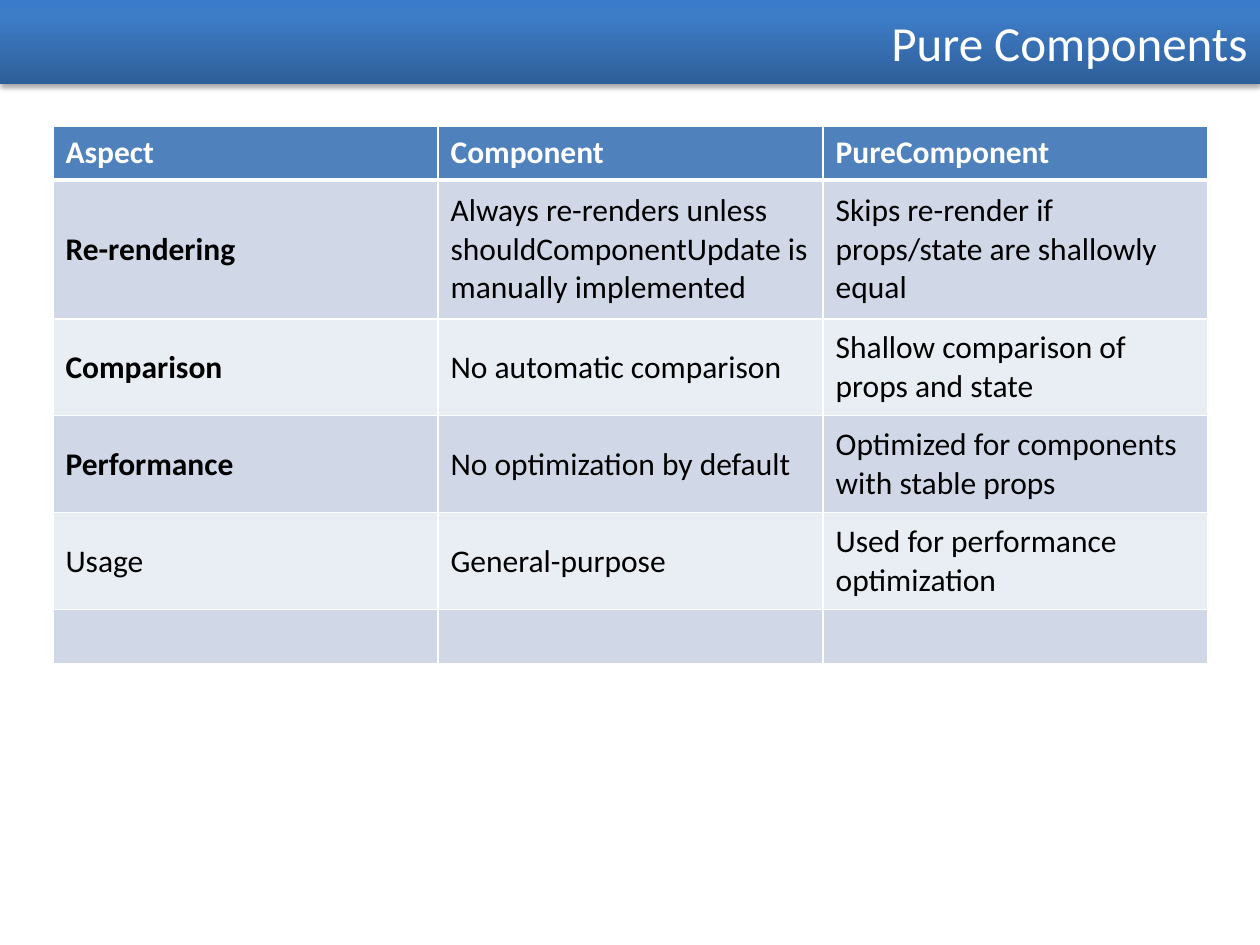
from copy import deepcopy

from lxml import etree
from pptx import Presentation
from pptx.dml.color import RGBColor
from pptx.enum.shapes import MSO_SHAPE
from pptx.enum.text import MSO_ANCHOR, PP_ALIGN
from pptx.oxml.ns import qn
from pptx.util import Inches, Pt

RECTANGLE = MSO_SHAPE.RECTANGLE
MIDDLE = MSO_ANCHOR.MIDDLE
LEFT, RIGHT = PP_ALIGN.LEFT, PP_ALIGN.RIGHT

ROWS = [
    ("Aspect", "Component", "PureComponent"),
    (
        "Re-rendering",
        "Always re-renders unless shouldComponentUpdate is manually implemented",
        "Skips re-render if props/state are shallowly equal",
    ),
    ("Comparison", "No automatic comparison", "Shallow comparison of props and state"),
    ("Performance", "No optimization by default", "Optimized for components with stable props"),
    ("Usage", "General-purpose", "Used for performance optimization"),
    ("", "", ""),
]
ROW_HEIGHTS = [0.43, 1.1, 0.77, 0.77, 0.77, 0.43]
BOLD_ASPECTS = {"Re-rendering", "Comparison", "Performance"}


def color(value):
    return RGBColor.from_string(value)


def write_text(frame, text, *, font, size, fill, bold=False, align=LEFT):
    frame.word_wrap = True
    paragraph = frame.paragraphs[0]
    paragraph.alignment = align
    paragraph.font.size = Pt(size)
    if text:
        run = paragraph.add_run()
        run.text = text
        run.font.name = font
        run.font.size = Pt(size)
        run.font.bold = bold
        run.font.color.rgb = color(fill)


def add_color(parent, value):
    return etree.SubElement(parent, qn("a:srgbClr"), val=value)


class SlideBuilder:
    font = "Calibri"
    white = "FFFFFF"
    black = "000000"
    header_fill = "4F81BD"
    band_fills = ("E9EDF4", "D0D8E8")
    banner_stops = ((0, "2F5F99"), (0.8, "3D7CC7"), (1, "3A7CCB"))

    def __init__(self, slide):
        self.slide = slide

    def banner(self, text, width, height):
        shape = self.slide.shapes.add_shape(RECTANGLE, 0, 0, Inches(width), Inches(height))
        shape.line.fill.background()
        self.gradient(shape)
        self.shadow(shape)
        shape.text_frame.vertical_anchor = MIDDLE
        write_text(shape.text_frame, text, font=self.font, size=28, fill=self.white, align=RIGHT)

    def gradient(self, shape):
        shape.fill.gradient()
        shape.fill.gradient_angle = 90
        stop_list = shape._element.spPr.find(f".//{qn('a:gsLst')}")
        stop_list.append(deepcopy(stop_list[-1]))
        for stop, (position, value) in zip(shape.fill.gradient_stops, self.banner_stops):
            stop.position = position
            stop.color.rgb = color(value)

    def shadow(self, shape):
        shape.shadow.inherit = False
        effects = shape._element.spPr.find(qn("a:effectLst"))
        outer = etree.SubElement(
            effects, qn("a:outerShdw"), blurRad=str(Pt(3.1)), dist=str(Pt(1.8)),
            dir="5400000", rotWithShape="0",
        )
        etree.SubElement(add_color(outer, self.black), qn("a:alpha"), val="35000")

    def table(self, rows, heights, left, top, width):
        columns = len(rows[0])
        frame = self.slide.shapes.add_table(
            len(rows), columns, Inches(left), Inches(top), Inches(width), Inches(sum(heights))
        )
        table = frame.table
        table.first_row = False
        table.horz_banding = False
        for row_index, (texts, height) in enumerate(zip(rows, heights)):
            table.rows[row_index].height = Inches(height)
            for column_index, text in enumerate(texts):
                self.cell(table.cell(row_index, column_index), text, row_index)

    def cell(self, cell, text, row_index):
        header = row_index == 0
        cell.vertical_anchor = MIDDLE
        cell.fill.solid()
        cell.fill.fore_color.rgb = color(
            self.header_fill if header else self.band_fills[row_index % 2]
        )
        write_text(
            cell.text_frame, text, font=self.font, size=18,
            fill=self.white if header else self.black,
            bold=header or text in BOLD_ASPECTS,
        )
        self.borders(cell, top=3 if row_index == 1 else 1, bottom=3 if header else 1)

    def borders(self, cell, top, bottom):
        properties = cell._tc.get_or_add_tcPr()
        widths = {"a:lnL": 1, "a:lnR": 1, "a:lnT": top, "a:lnB": bottom}
        for index, (tag, width) in enumerate(widths.items()):
            line = etree.Element(qn(tag), w=str(Pt(width)))
            add_color(etree.SubElement(line, qn("a:solidFill")), self.white)
            properties.insert(index, line)


def main():
    presentation = Presentation()
    presentation.slide_width = Inches(10)
    presentation.slide_height = Inches(7.5)
    slide = presentation.slides.add_slide(presentation.slide_layouts[6])
    builder = SlideBuilder(slide)
    builder.banner("Pure Components", width=10, height=0.67)
    builder.table(ROWS, ROW_HEIGHTS, left=0.42, top=1, width=9.17)
    presentation.save("out.pptx")


if __name__ == "__main__":
    main()
